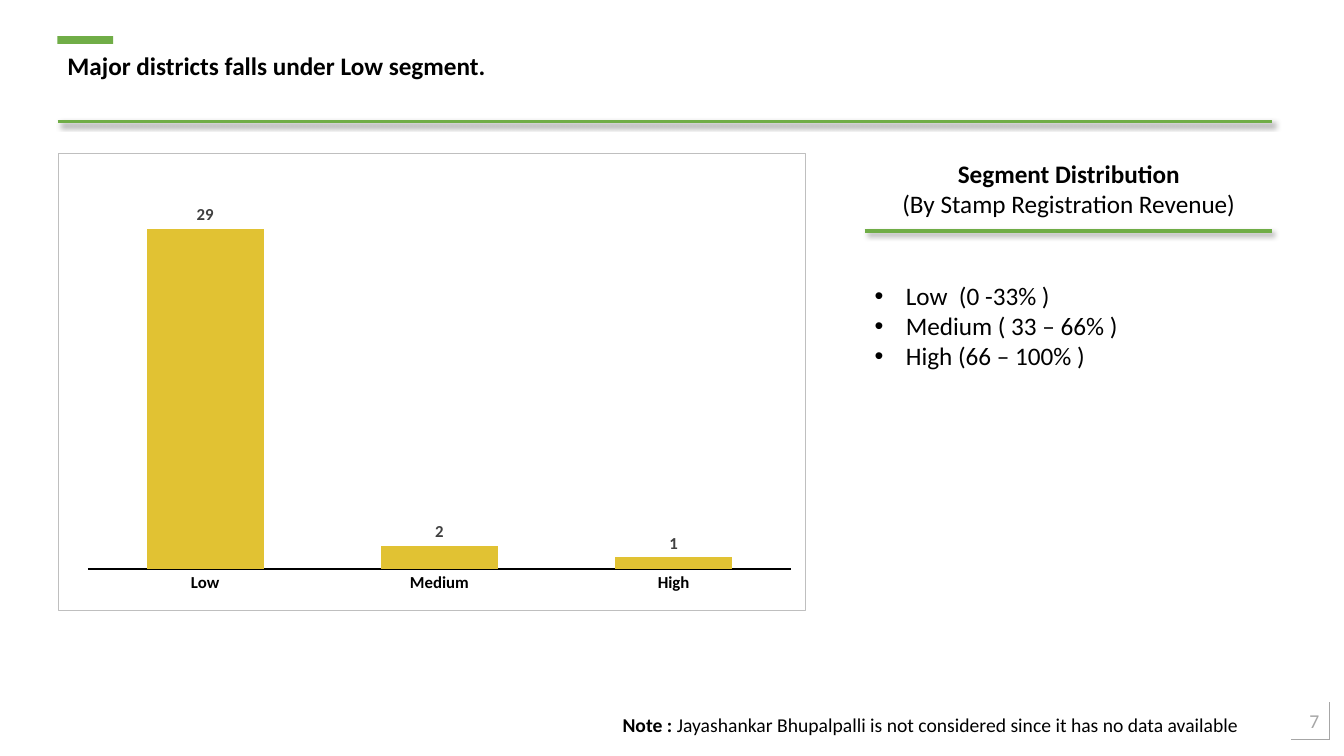
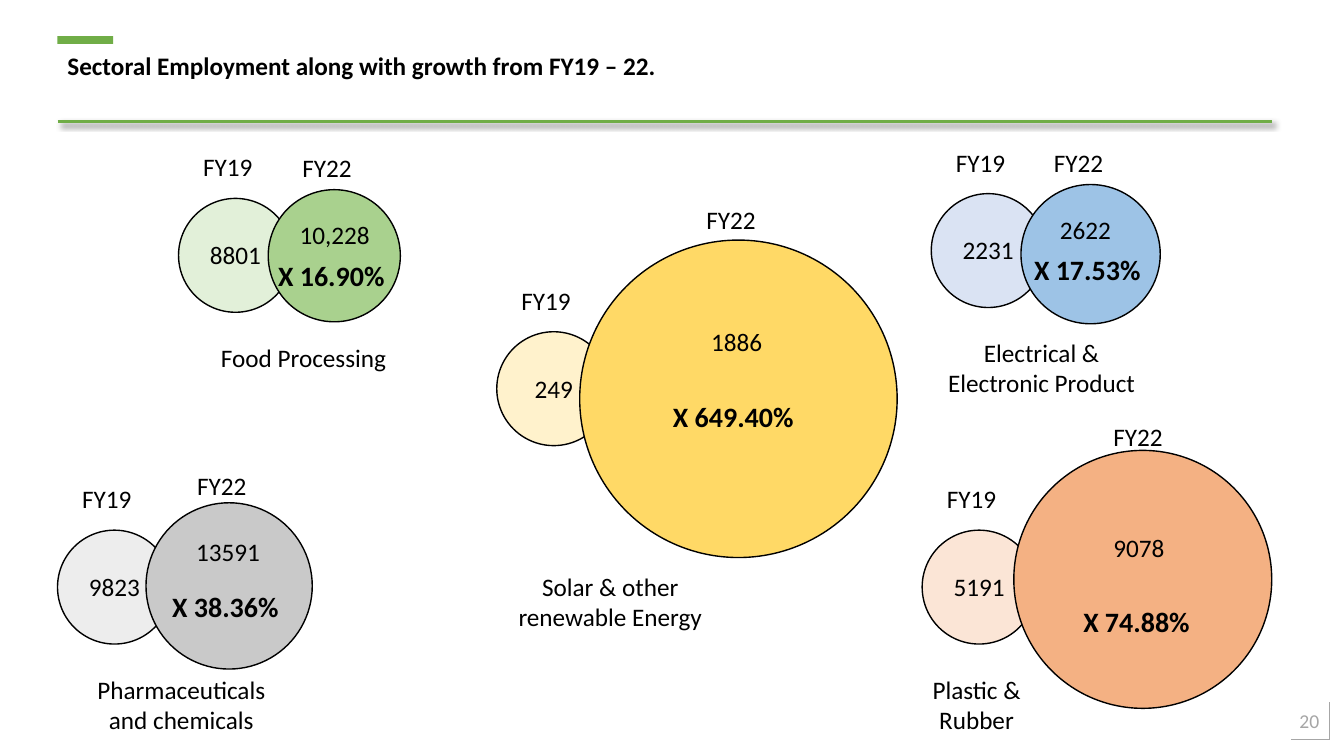
from dataclasses import dataclass
from typing import NamedTuple

from lxml.etree import SubElement
from pptx import Presentation
from pptx.chart.data import CategoryChartData as ChartData
from pptx.dml.color import RGBColor as Rgb
from pptx.enum.chart import XL_CHART_TYPE as ChartType
from pptx.enum.chart import XL_LABEL_POSITION as LabelPosition
from pptx.enum.chart import XL_TICK_MARK as TickMark
from pptx.enum.shapes import MSO_CONNECTOR as Connector
from pptx.enum.shapes import MSO_SHAPE as Preset
from pptx.enum.text import MSO_ANCHOR as Anchor
from pptx.enum.text import PP_ALIGN as Align
from pptx.oxml import parse_xml
from pptx.oxml.ns import nsdecls, qn
from pptx.slide import Slide
from pptx.util import Cm, Pt

FONT = "Calibri"
COLORS = {
    "white": "FFFFFF",
    "text": "000000",
    "accent": "70AD47",
    "footer": "A6A6A6",
    "bar": "E1C233",
    "bar_label": "404040",
    "chart_border": "BFBFBF",
    "food_19": "E2F0D9",
    "food_22": "A9D18E",
    "solar_19": "FFF2CC",
    "solar_22": "FFD966",
    "electric_19": "DAE3F3",
    "electric_22": "9DC3E6",
    "pharma_19": "EDEDED",
    "pharma_22": "C9C9C9",
    "plastic_19": "FBE5D6",
    "plastic_22": "F4B183",
}
MARGIN = 1.45
RIGHT_EDGE = 32.05
LINE_HEIGHT = 1.02
BASE_DIAMETER = 2.87
YEAR_WIDTH = 2.13
VALUE_WIDTH = 2.59


class Spot(NamedTuple):
    left: float
    top: float


class Box(NamedTuple):
    left: float
    top: float
    width: float
    height: float


class Run(NamedTuple):
    text: str
    bold: bool = False


@dataclass(frozen=True)
class Line:
    runs: tuple[Run, ...]
    align: Align = Align.LEFT
    bullet: bool = False
    before: float = 0


@dataclass(frozen=True)
class Sector:
    key: str
    name: tuple[str, ...]
    name_at: Spot
    name_width: float
    base: str
    base_at: Spot
    latest: str
    latest_at: Spot
    circle_at: Spot
    diameter: float
    year_at: Spot
    growth: str
    growth_at: Spot
    growth_width: float = 3.33


SECTORS = (
    Sector("food", ("Food Processing",), Spot(5.21, 8.51), 4.88,
           "8801", Spot(4.5, 5), "10,228", Spot(7.14, 5.41),
           Spot(6.76, 4.78), 3.33, Spot(7.37, 3.71),
           "X 16.90%", Spot(6.76, 6.4)),
    Sector("solar", ("Solar & other renewable Energy",), Spot(12.7, 14.27), 5.36,
           "249", Spot(12.52, 8.36), "1886", Spot(17.27, 8.1),
           Spot(14.61, 6.05), 8, Spot(17.55, 5.03),
           "X 649.40%", Spot(16.71, 9.93), 3.81),
    Sector("electric", ("Electrical &", "Electronic Product"), Spot(23.47, 8.38), 5.56,
           "2231", Spot(23.47, 4.88), "2622", Spot(26.06, 5.28),
           Spot(25.73, 4.65), 3.51, Spot(26.31, 3.58),
           "X 17.53%", Spot(25.81, 6.25)),
    Sector("pharma", ("Pharmaceuticals and chemicals",), Spot(2.13, 16.87), 4.88,
           "9823", Spot(1.45, 13.36), "13591", Spot(4.45, 13.39),
           Spot(3.68, 12.67), 4.19, Spot(4.72, 11.73),
           "X 38.36%", Spot(4.09, 14.73)),
    Sector("plastic", ("Plastic &", "Rubber"), Spot(22.17, 16.87), 4.88,
           "5191", Spot(23.24, 13.36), "9078", Spot(27.41, 13.28),
           Spot(25.55, 11.35), 6.5, Spot(27.81, 10.49),
           "X 74.88%", Spot(27.05, 15.11)),
)


def rgb(color: str) -> Rgb:
    return Rgb.from_string(COLORS[color])


def style_font(font, size: float, color: str = "text", bold: bool = False) -> None:
    font.name = FONT
    font.size = Pt(size)
    font.bold = bold
    font.color.rgb = rgb(color)


def write(slide: Slide, box: Box, *lines: Line | str, size: float = 18,
          color: str = "text", bold: bool = False, align: Align = Align.LEFT,
          anchor: Anchor = Anchor.TOP) -> None:
    frame = slide.shapes.add_textbox(*map(Cm, box)).text_frame
    frame.word_wrap = True
    frame.vertical_anchor = anchor
    for index, line in enumerate(lines):
        if isinstance(line, str):
            line = Line((Run(line, bold),), align)
        paragraph = frame.paragraphs[0] if index == 0 else frame.add_paragraph()
        paragraph.alignment = line.align
        if line.before:
            paragraph.space_before = Pt(line.before)
        if line.bullet:
            properties = paragraph._p.get_or_add_pPr()
            properties.set("marL", str(Cm(0.79)))
            properties.set("indent", str(-Cm(0.79)))
            SubElement(properties, qn("a:buFont"), typeface="Arial")
            SubElement(properties, qn("a:buChar"), char="•")
        for part in line.runs:
            run = paragraph.add_run()
            run.text = part.text
            style_font(run.font, size, color, part.bold)


def rule(slide: Slide, start: Spot, end: Spot, color: str = "accent",
         width: float = 2.25, shadow: bool = True) -> None:
    line = slide.shapes.add_connector(Connector.STRAIGHT, *map(Cm, (*start, *end)))
    line.line.color.rgb = rgb(color)
    line.line.width = Pt(width)
    effects = SubElement(line._element.spPr, qn("a:effectLst"))
    if shadow:
        outer = SubElement(effects, qn("a:outerShdw"), blurRad=str(Pt(4)),
                           dist=str(Pt(3)), dir="2700000", algn="tl", rotWithShape="0")
        tone = SubElement(outer, qn("a:srgbClr"), val=COLORS["text"])
        SubElement(tone, qn("a:alpha"), val="40000")


def draw(slide: Slide, preset: Preset, box: Box, fill: str,
         outline: str | None = None) -> None:
    shape = slide.shapes.add_shape(preset, *map(Cm, box))
    shape.shadow.inherit = False
    shape.fill.solid()
    shape.fill.fore_color.rgb = rgb(fill)
    if outline:
        shape.line.color.rgb = rgb(outline)
        shape.line.width = Pt(1)
    else:
        shape.line.fill.background()


def add_page(deck, title: str, number: int) -> Slide:
    slide = deck.slides.add_slide(deck.slide_layouts[6])
    slide.background.fill.solid()
    slide.background.fill.fore_color.rgb = rgb("white")
    corner = Spot(33.49, 18.64)
    for start in (Spot(32.54, corner.top), Spot(corner.left, 17.7)):
        rule(slide, start, corner, color="footer", width=0.5, shadow=False)
    draw(slide, Preset.RECTANGLE, Box(MARGIN, 0.91, 1.4, 0.2), "accent")
    rule(slide, Spot(MARGIN, 3.06), Spot(RIGHT_EDGE, 3.06))
    write(slide, Box(MARGIN, 1.14, 30.62, LINE_HEIGHT), title, bold=True)
    write(slide, Box(32.08, 17.66, 1.42, LINE_HEIGHT), str(number), size=14,
          color="footer", align=Align.RIGHT, anchor=Anchor.MIDDLE)
    return slide


def shape_format(fill: str, border: str | None = None):
    outline = (f'<a:solidFill><a:srgbClr val="{COLORS[border]}"/></a:solidFill>'
               if border else "<a:noFill/>")
    return parse_xml(
        f'<c:spPr {nsdecls("c", "a")}><a:solidFill><a:srgbClr val="{COLORS[fill]}"/>'
        f'</a:solidFill><a:ln w="{Pt(0.75)}">{outline}</a:ln></c:spPr>')


def add_segment_chart(slide: Slide, box: Box) -> None:
    data = ChartData()
    data.categories = ("Low", "Medium", "High")
    data.add_series("Series 1", (29, 2, 1))
    chart = slide.shapes.add_chart(ChartType.COLUMN_CLUSTERED, *map(Cm, box), data).chart
    chart.has_title = False
    chart.has_legend = False
    style_font(chart.font, 10)

    districts = chart.category_axis
    districts.major_tick_mark = TickMark.NONE
    districts.format.line.color.rgb = rgb("text")
    districts.format.line.width = Pt(0.75)
    style_font(districts.tick_labels.font, 12, bold=True)
    counts = chart.value_axis
    counts.minimum_scale = 0
    counts.maximum_scale = 35
    counts.has_major_gridlines = False
    counts.visible = False

    plot = chart.plots[0]
    plot.gap_width = 100
    plot.overlap = -27
    plot.vary_by_categories = False
    bars = plot.series[0]
    bars.format.fill.solid()
    bars.format.fill.fore_color.rgb = rgb("bar")
    labels = bars.data_labels
    labels.show_value = True
    labels.position = LabelPosition.OUTSIDE_END
    style_font(labels.font, 12, "bar_label", True)

    area = chart._chartSpace.chart.plotArea
    for old in area.findall(qn("c:layout")):
        area.remove(old)
    layout = parse_xml(f'<c:layout {nsdecls("c")}><c:manualLayout/></c:layout>')
    settings = (("layoutTarget", "inner"), ("xMode", "edge"), ("yMode", "edge"),
                ("x", "0.04"), ("y", "0.01"), ("w", "0.94"), ("h", "0.9"))
    for tag, value in settings:
        SubElement(layout[0], qn(f"c:{tag}"), val=value)
    area.insert(0, layout)
    area.append(shape_format("white"))
    chart._chartSpace.chart.addnext(shape_format("white", "chart_border"))


def add_sector(slide: Slide, sector: Sector) -> None:
    left, top = sector.base_at
    draw(slide, Preset.OVAL, Box(left, top, BASE_DIAMETER, BASE_DIAMETER),
         f"{sector.key}_19", "text")
    draw(slide, Preset.OVAL, Box(*sector.circle_at, sector.diameter, sector.diameter),
         f"{sector.key}_22", "text")
    year_left = left + (BASE_DIAMETER - YEAR_WIDTH) / 2
    write(slide, Box(year_left, top - 1.3, YEAR_WIDTH, LINE_HEIGHT), "FY19")
    write(slide, Box(year_left, top + 0.91, YEAR_WIDTH, LINE_HEIGHT), sector.base,
          align=Align.CENTER)
    write(slide, Box(*sector.year_at, YEAR_WIDTH, LINE_HEIGHT), "FY22")
    write(slide, Box(*sector.latest_at, VALUE_WIDTH, LINE_HEIGHT), sector.latest,
          align=Align.CENTER)
    write(slide, Box(*sector.growth_at, sector.growth_width, 1.12), sector.growth,
          size=20, bold=True)
    write(slide, Box(*sector.name_at, sector.name_width, 1.8), *sector.name,
          align=Align.CENTER)


def build_segments(deck) -> None:
    slide = add_page(deck, "Major districts falls under Low segment.", 7)
    add_segment_chart(slide, Box(MARGIN, 3.86, 18.87, 11.53))
    rule(slide, Spot(21.79, 5.82), Spot(RIGHT_EDGE, 5.82))
    write(slide, Box(21.79, 3.86, 10.29, 5.64),
          Line((Run("Segment Distribution", True),), Align.CENTER),
          Line((Run("(By Stamp Registration Revenue)"),), Align.CENTER),
          Line((Run("Low  (0 -33% )"),), bullet=True, before=44),
          Line((Run("Medium ( 33 – 66% )"),), bullet=True),
          Line((Run("High (66 – 100% )"),), bullet=True))
    write(slide, Box(15.44, 17.83, 16.61, 0.86),
          Line((Run("Note : ", True),
                Run("Jayashankar Bhupalpalli is not considered since it has no data available"))),
          size=14)


def build_sectors(deck) -> None:
    slide = add_page(deck, "Sectoral Employment along with growth from FY19 – 22.", 20)
    for sector in SECTORS:
        add_sector(slide, sector)


def main() -> None:
    deck = Presentation()
    deck.slide_width = Cm(33.87)
    deck.slide_height = Cm(19.05)
    build_segments(deck)
    build_sectors(deck)
    deck.save("out.pptx")


if __name__ == "__main__":
    main()
